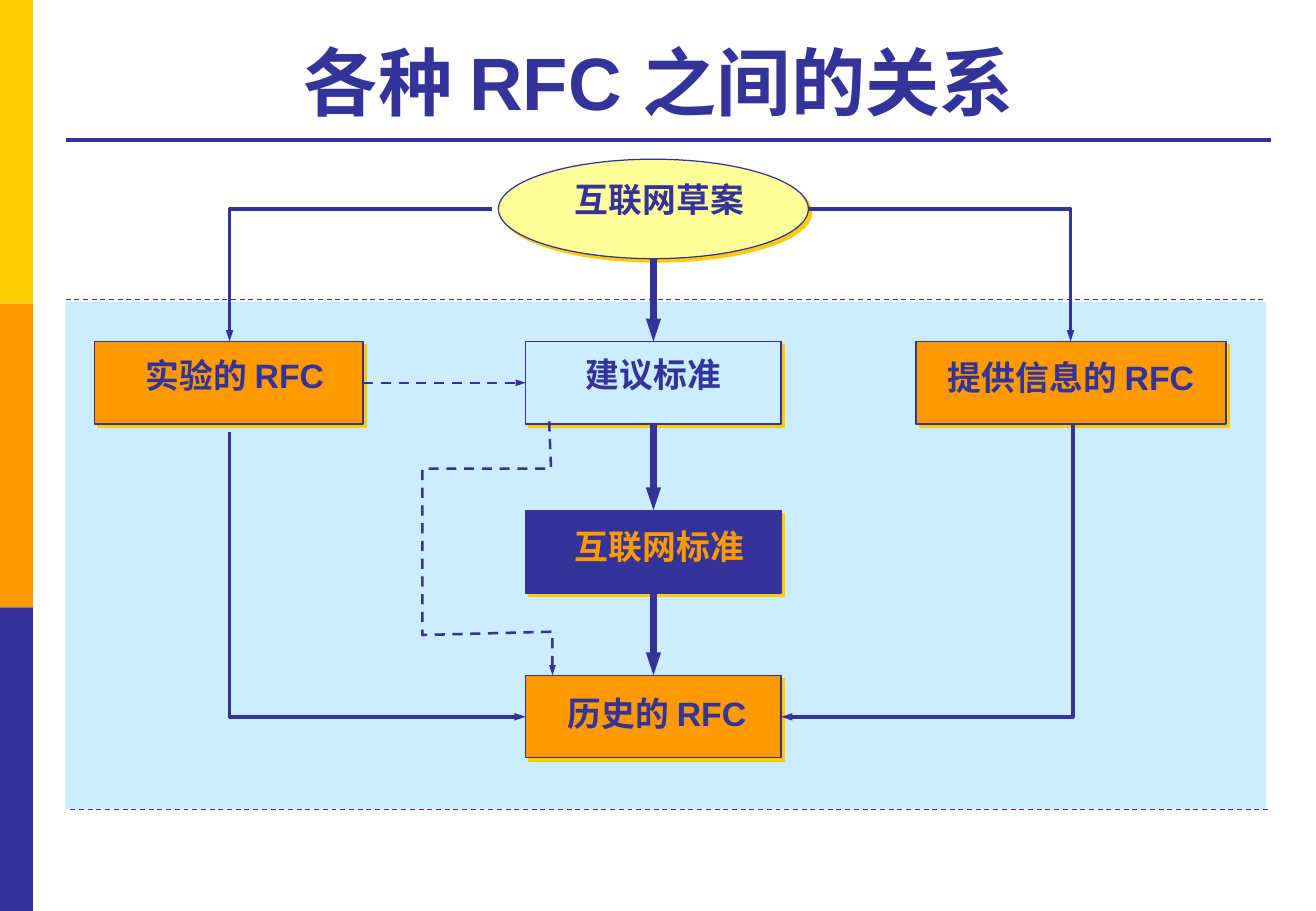
from pptx import Presentation
from pptx.dml.color import RGBColor
from pptx.enum.dml import MSO_LINE
from pptx.enum.shapes import MSO_CONNECTOR, MSO_SHAPE
from pptx.enum.text import MSO_ANCHOR, PP_ALIGN
from pptx.oxml import parse_xml
from pptx.oxml.ns import nsdecls
from pptx.util import Cm, Pt

RECT, OVAL = MSO_SHAPE.RECTANGLE, MSO_SHAPE.OVAL
STRAIGHT, DASH = MSO_CONNECTOR.STRAIGHT, MSO_LINE.DASH
TOP, BOTTOM, CENTER = MSO_ANCHOR.TOP, MSO_ANCHOR.BOTTOM, PP_ALIGN.CENTER
SIDE_TOP, SIDE_LEFT, SIDE_BOTTOM, SIDE_RIGHT = range(4)

THEME = {
    "navy": RGBColor.from_string("333399"),
    "gold": RGBColor.from_string("FFCC00"),
    "orange": RGBColor.from_string("FF9900"),
    "sky": RGBColor.from_string("CCECFF"),
    "cream": RGBColor.from_string("FFFF99"),
    "font": "Arial",
    "title": Pt(44),
    "label": Pt(20),
}


def set_text(sp, text, size, color, anchor, margins):
    tf = sp.text_frame
    frame = {"word_wrap": True, "vertical_anchor": anchor, **margins}
    for name, value in frame.items():
        setattr(tf, name, value)
    p = tf.paragraphs[0]
    p.alignment = CENTER
    r = p.add_run()
    r.text = text
    font = {"name": THEME["font"], "size": THEME[size], "bold": True}
    for name, value in font.items():
        setattr(r.font, name, value)
    r.font.color.rgb = THEME[color]


def style_line(sp, width, dashed=False, arrow=False):
    sp.line.color.rgb = THEME["navy"]
    sp.line.width = Pt(width)
    if dashed:
        sp.line.dash_style = DASH
    if arrow:
        sp.line._get_or_add_ln().append(parse_xml(
            f'<a:tailEnd {nsdecls("a")} type="triangle" w="sm" len="med"/>'))
    spPr = sp._element.spPr
    if spPr.find("{*}effectLst") is None:
        spPr.append(parse_xml(f'<a:effectLst {nsdecls("a")}/>'))


prs = Presentation()
prs.slide_width, prs.slide_height = Cm(27.51), Cm(19.05)
s = prs.slides.add_slide(prs.slide_layouts[6])

panels = [(0, i * 6.35, 0.69, 6.35, color)
          for i, color in enumerate(("gold", "orange", "navy"))]
panels.append((1.37, 6.32, 25.1, 10.59, "sky"))
for x, y, w, h, color in panels:
    sp = s.shapes.add_shape(RECT, Cm(x), Cm(y), Cm(w), Cm(h))
    sp.shadow.inherit = False
    sp.fill.solid()
    sp.fill.fore_color.rgb = THEME[color]
    sp.line.fill.background()

title = s.shapes.add_textbox(Cm(1.37), Cm(0.53), Cm(25.17), Cm(2.21))
set_text(title, "各种 RFC 之间的关系 ", "title", "navy", BOTTOM, {})

nodes = {
    "draft": ("互联网草案", OVAL, 10.42, 3.33, 6.48, 2.08, "cream", "navy", 0.25, 0.1),
    "proposed": ("建议标准", RECT, 10.99, 7.14, 5.34, 1.73, "sky", "navy", 0, 0.25),
    "standard": ("互联网标准", RECT, 10.99, 10.67, 5.34, 1.73, "navy", "orange", 0.25, 0.33),
    "historic": ("历史的 RFC", RECT, 10.99, 14.12, 5.34, 1.73, "orange", "navy", 0.15, 0.36),
    "experimental": ("实验的 RFC", RECT, 1.98, 7.14, 5.61, 1.73, "orange", "navy", 0.25, 0.28),
    "informational": ("提供信息的 RFC", RECT, 19.15, 7.14, 6.48, 1.73, "orange", "navy", 0, 0.33),
}
boxes = {}
for key, (text, kind, x, y, w, h, fill, color, left, top) in nodes.items():
    sp = s.shapes.add_shape(kind, Cm(x), Cm(y), Cm(w), Cm(h))
    sp.shadow.inherit = False
    sp.fill.solid()
    sp.fill.fore_color.rgb = THEME[fill]
    style_line(sp, 0.75)
    sp._element.spPr.find("{*}effectLst").append(parse_xml(
        f'<a:outerShdw {nsdecls("a")} dist="35921" dir="2700000" algn="ctr" '
        f'rotWithShape="0"><a:srgbClr val="{THEME["gold"]}"/></a:outerShdw>'))
    set_text(sp, text, "label", color, TOP, {
        "margin_left": Cm(left), "margin_top": Cm(top),
        "margin_right": 0, "margin_bottom": 0})
    boxes[key] = sp

rules = [
    (1.37, 26.57, 2.92, 2.25, False),
    (1.37, 26.47, 6.27, 0.75, True),
    (1.47, 26.57, 16.92, 0.75, True),
]
for x1, x2, y, width, dashed in rules:
    line = s.shapes.add_connector(STRAIGHT, Cm(x1), Cm(y), Cm(x2), Cm(y))
    style_line(line, width, dashed)

links = [
    ("draft", None, "proposed", SIDE_TOP, 4.5, False),
    ("proposed", SIDE_BOTTOM, "standard", SIDE_TOP, 4.5, False),
    ("standard", SIDE_BOTTOM, "historic", SIDE_TOP, 4.5, False),
    ("experimental", SIDE_RIGHT, "proposed", SIDE_LEFT, 1.5, True),
]
for start, start_side, end, end_side, width, dashed in links:
    source = boxes[start]
    x, y = source.left + source.width // 2, source.top + source.height
    link = s.shapes.add_connector(STRAIGHT, x, y, x, y)
    if start_side is not None:
        link.begin_connect(source, start_side)
    link.end_connect(boxes[end], end_side)
    style_line(link, width, dashed, arrow=True)

routes = [
    ([(16.9, 4.37), (22.38, 4.37), (22.38, 7.14)], 2.25, False),
    ([(10.29, 4.37), (4.8, 4.37), (4.8, 7.14)], 2.25, False),
    ([(4.8, 9.04), (4.8, 14.99), (10.99, 14.99)], 2.25, False),
    ([(22.43, 8.87), (22.43, 14.99), (16.33, 14.99)], 2.25, False),
    ([(11.48, 8.81), (11.52, 9.8), (8.83, 9.8), (8.83, 13.28),
      (11.55, 13.21), (11.55, 14.12)], 1.5, True),
]
for points, width, dashed in routes:
    first, *rest = [(Cm(x), Cm(y)) for x, y in points]
    builder = s.shapes.build_freeform(*first)
    builder.add_line_segments(rest, close=False)
    route = builder.convert_to_shape()
    route.shadow.inherit = False
    route.fill.background()
    style_line(route, width, dashed, arrow=True)

prs.save("out.pptx")
